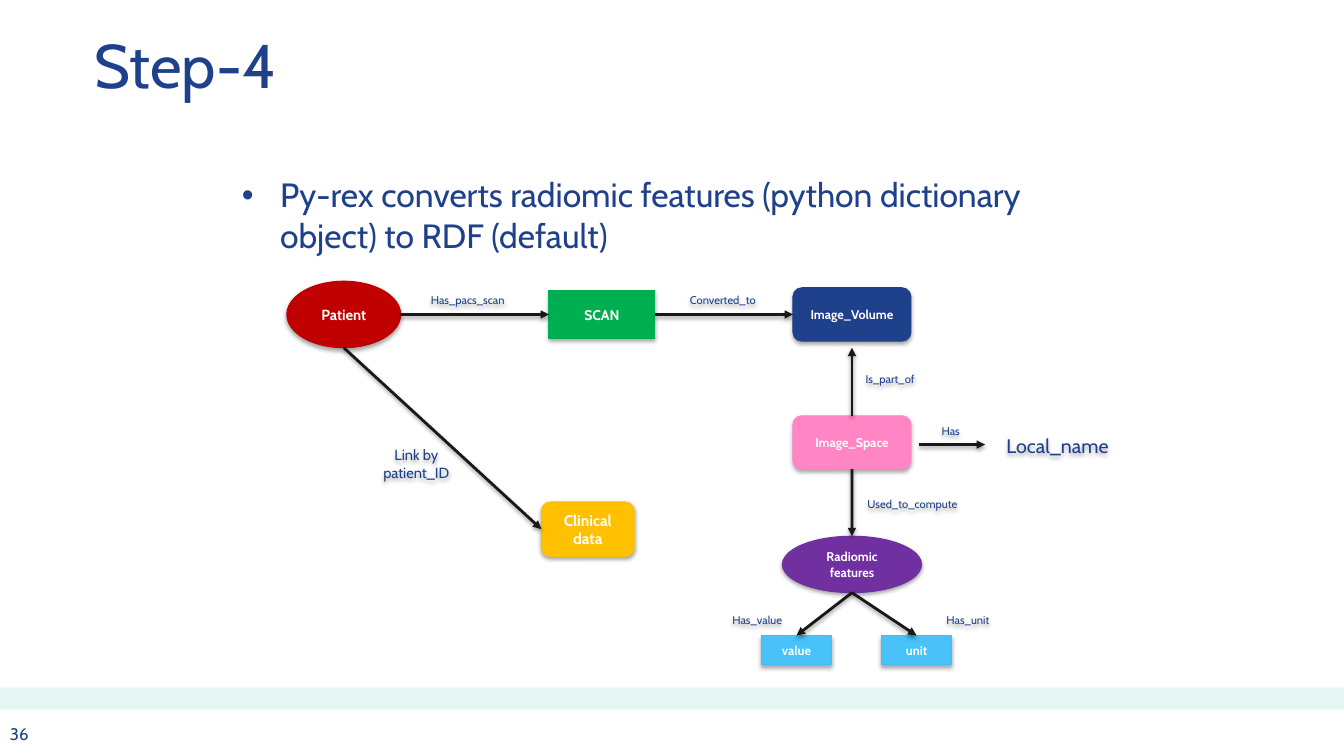
from lxml.etree import SubElement
from pptx import Presentation
from pptx.dml.color import RGBColor
from pptx.enum.shapes import MSO_CONNECTOR, MSO_SHAPE
from pptx.enum.text import MSO_ANCHOR, PP_ALIGN
from pptx.oxml.ns import qn
from pptx.util import Inches, Pt

COLORS = {
    "navy": "1F418B", "white": "FFFFFF", "band": "E5F5F3", "arrow": "181818",
    "red": "C00000", "green": "00B050", "pink": "FF85C4", "purple": "7030A0",
    "amber": "FFC000", "sky": "48C2F9", "sky edge": "42BFF8", "shadow": "000000",
}
FONT = "Cabin"
TITLE = "Step-4"
BULLET = "Py-rex converts radiomic features (python dictionary object) to RDF (default)"
PAGE_NUMBER = "36"

# Nodes: text, shape, (center x, center y, width, height), fill, edge, size
RECTANGLE, ROUNDED, OVAL = MSO_SHAPE.RECTANGLE, MSO_SHAPE.ROUNDED_RECTANGLE, MSO_SHAPE.OVAL
ROW_Y, COLUMN_X = 3.12, 8.45
NODES = [
    ("Patient", OVAL, (3.41, ROW_Y, 1.13, 0.66), "red", "red", 10.5),
    ("SCAN", RECTANGLE, (5.97, ROW_Y, 1.05, 0.47), "green", "green", 10),
    ("Image_Volume", ROUNDED, (COLUMN_X, ROW_Y, 1.17, 0.53), "navy", "navy", 9),
    ("Image_Space", ROUNDED, (COLUMN_X, 4.39, 1.17, 0.53), "pink", "pink", 9),
    ("Radiomic features", OVAL, (COLUMN_X, 5.6, 1.38, 0.56), "purple", "purple", 9),
    ("value", RECTANGLE, (7.9, 6.45, 0.69, 0.29), "sky", "sky edge", 9),
    ("unit", RECTANGLE, (9.09, 6.45, 0.69, 0.29), "sky", "sky edge", 9),
    ("Clinical data", ROUNDED, (5.83, 5.25, 0.92, 0.54), "amber", "amber", 11),
]

# Arrows: each end is a free point or (node, side); sides 0 top, 1 left, 2 bottom, 3 right
ARROWS = [
    ((3.97, ROW_Y), ("SCAN", 1)),
    (("SCAN", 3), ("Image_Volume", 1)),
    (("Image_Space", 0), (COLUMN_X, 3.45)),
    (("Image_Space", 2), ("Radiomic features", 0)),
    ((COLUMN_X, 5.88), ("value", 0)),
    ((COLUMN_X, 5.88), ("unit", 0)),
    ((3.41, 3.45), ("Clinical data", 1)),
    ((9.12, 4.41), (9.77, 4.41)),
]

# Labels: text, (center x, center y, width, height), size
LABELS = [
    ("Has_pacs_scan", (4.64, 2.98, 1.01, 0.29), 8),
    ("Converted_to", (7.17, 2.98, 1.01, 0.29), 8),
    ("Is_part_of", (8.83, 3.76, 1.01, 0.29), 8),
    ("Has", (9.43, 4.28, 1.01, 0.29), 8),
    ("Used_to_compute", (9.05, 5, 1.18, 0.29), 8),
    ("Has_value", (7.51, 6.15, 1.18, 0.29), 8),
    ("Has_unit", (9.6, 6.15, 1.18, 0.29), 8),
    ("Link by patient_ID", (4.13, 4.6, 1.14, 0.36), 10.5),
    ("Local_name", (10.49, 4.42, 1.23, 0.38), 14),
]


def rgb(name):
    return RGBColor.from_string(COLORS[name])


def centered(x, y, width, height):
    return [Inches(n) for n in (x - width / 2, y - height / 2, width, height)]


def add_shadow(shape, opacity, distance):
    effects = SubElement(shape._element.spPr, qn("a:effectLst"))
    outer = SubElement(effects, qn("a:outerShdw"), blurRad=str(Pt(3.1)),
                       dist=str(Pt(distance)), dir="5400000", rotWithShape="0")
    color = SubElement(outer, qn("a:srgbClr"), val=COLORS["shadow"])
    SubElement(color, qn("a:alpha"), val=str(opacity * 1000))


def set_text(shape, text, size, color="navy", bold=False, align=PP_ALIGN.CENTER,
             anchor=MSO_ANCHOR.MIDDLE, wrap=True):
    frame = shape.text_frame
    frame.text = text
    frame.word_wrap = wrap
    frame.vertical_anchor = anchor
    paragraph = frame.paragraphs[0]
    paragraph.alignment = align
    font = paragraph.runs[0].font
    font.name, font.size, font.bold = FONT, Pt(size), bold
    font.color.rgb = rgb(color)
    return paragraph


def add_text(box, text, size, **options):
    shape = slide.shapes.add_textbox(*[Inches(n) for n in box])
    return set_text(shape, text, size, align=PP_ALIGN.LEFT, **options)


presentation = Presentation()
presentation.slide_width, presentation.slide_height = Inches(13.33), Inches(7.5)
slide = presentation.slides.add_slide(presentation.slide_layouts[6])

# Footer band and page number
band = slide.shapes.add_shape(RECTANGLE, 0, Inches(6.82), Inches(13.33), Inches(0.22))
band.shadow.inherit = False
band.fill.solid()
band.fill.fore_color.rgb = rgb("band")
band.line.fill.background()
add_text((0, 7.13, 0.41, 0.3), PAGE_NUMBER, 12, anchor=MSO_ANCHOR.TOP, wrap=False)

# Title and bullet
add_text((0.84, 0.01, 11.83, 1.25), TITLE, 44)
bullet = add_text((2.3, 1.68, 8.87, 1.28), BULLET, 24, anchor=MSO_ANCHOR.TOP)
properties = bullet._p.get_or_add_pPr()
properties.set("marL", str(Inches(0.38)))
properties.set("indent", str(Inches(-0.38)))
SubElement(properties, qn("a:buFont"), typeface="Arial")
SubElement(properties, qn("a:buChar"), char="•")

# Graph nodes
nodes = {}
for text, kind, box, fill, edge, size in NODES:
    node = slide.shapes.add_shape(kind, *centered(*box))
    node.fill.solid()
    node.fill.fore_color.rgb = rgb(fill)
    node.line.color.rgb = rgb(edge)
    node.line.width = Pt(0.75)
    add_shadow(node, 35, 1.8)
    set_text(node, text, size, "white", bold=True)
    nodes[text] = node

# Arrows between nodes
for start, end in ARROWS:
    arrow = slide.shapes.add_connector(MSO_CONNECTOR.STRAIGHT, 0, 0, 0, 0)
    if start[0] in nodes:
        arrow.begin_connect(nodes[start[0]], start[1])
    else:
        arrow.begin_x, arrow.begin_y = Inches(start[0]), Inches(start[1])
    if end[0] in nodes:
        arrow.end_connect(nodes[end[0]], end[1])
    else:
        arrow.end_x, arrow.end_y = Inches(end[0]), Inches(end[1])
    arrow.line.color.rgb = rgb("arrow")
    arrow.line.width = Pt(2)
    SubElement(arrow.line._get_or_add_ln(), qn("a:tailEnd"), type="triangle")
    add_shadow(arrow, 38, 1.6)

# Relation labels
for text, box, size in LABELS:
    label = slide.shapes.add_textbox(*centered(*box))
    add_shadow(label, 35, 1.8)
    set_text(label, text, size)

presentation.save("out.pptx")
